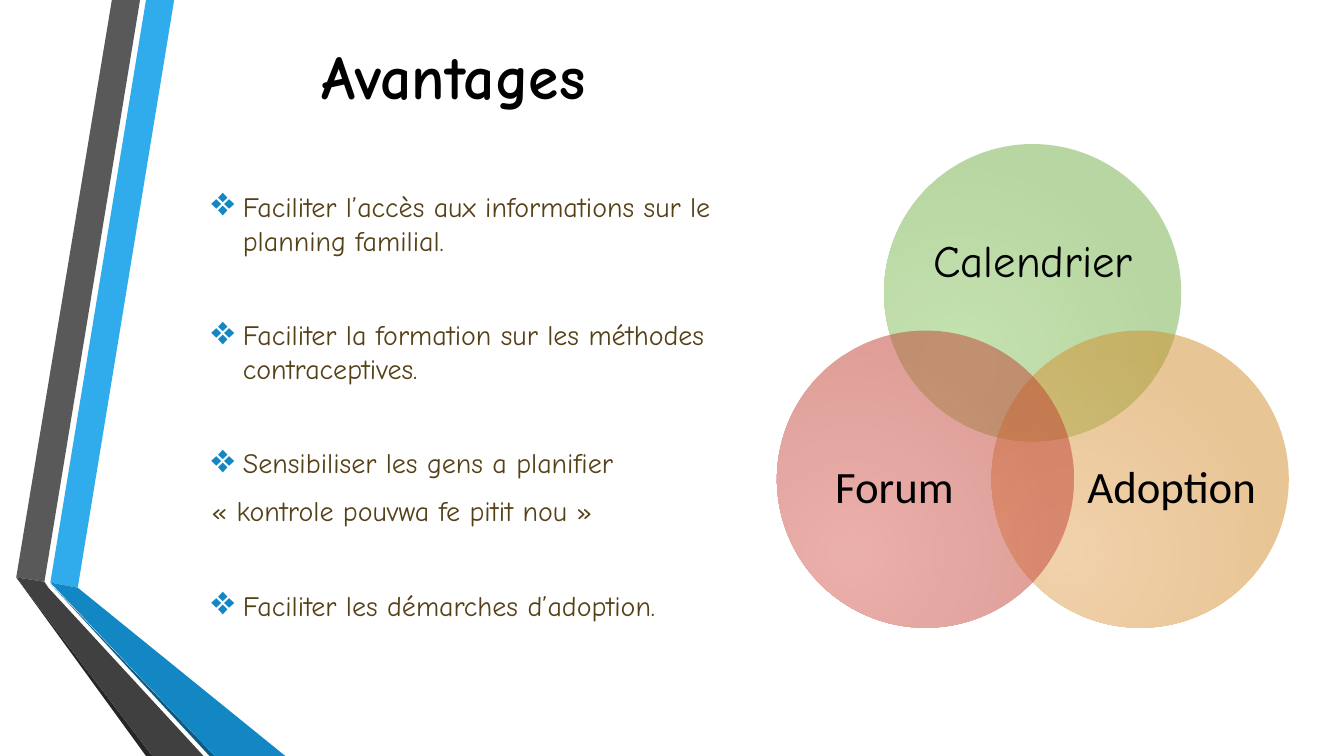
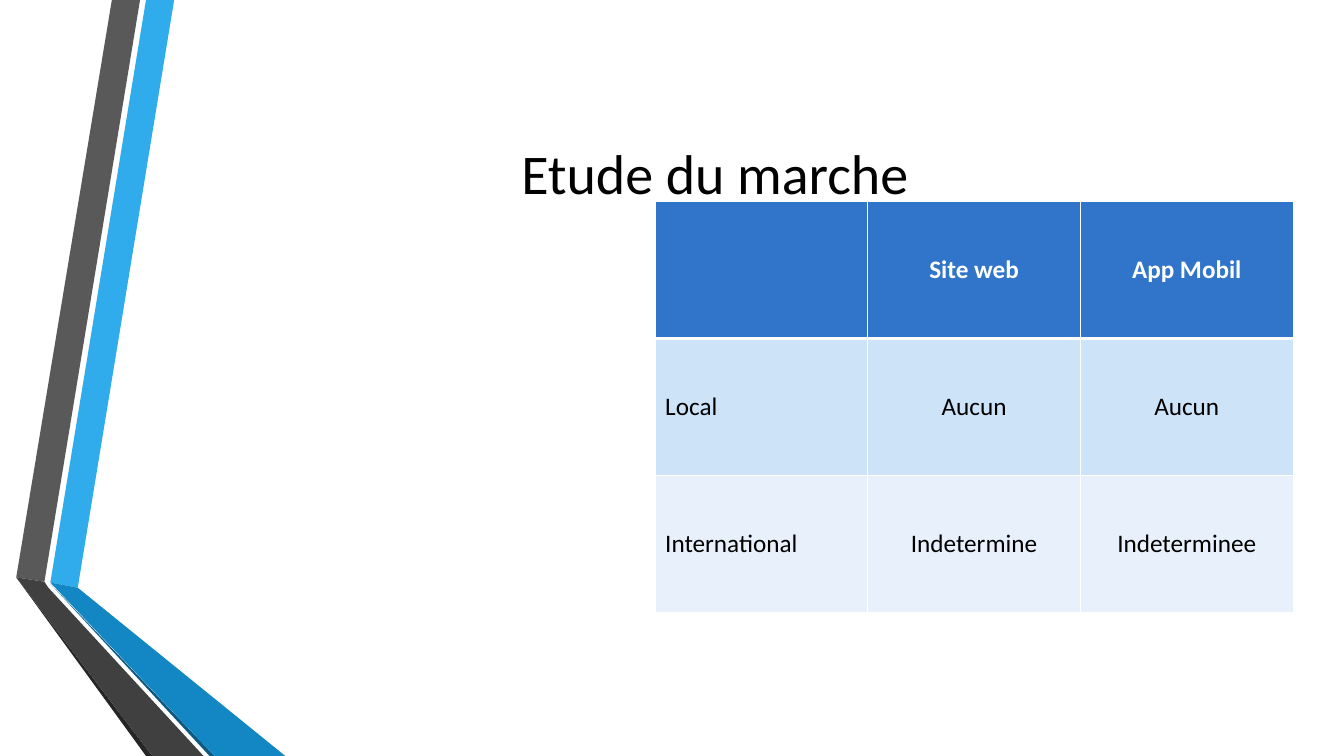
from lxml import etree
from pptx import Presentation
from pptx.dml.color import RGBColor
from pptx.enum.shapes import MSO_SHAPE
from pptx.enum.text import MSO_ANCHOR, PP_ALIGN
from pptx.oxml import parse_xml
from pptx.oxml.ns import nsdecls, qn
from pptx.util import Cm, Pt

COLOURS = {
    "black": "000000",
    "white": "FFFFFF",
    "brown": "554117",
    "sky": "30ACEC",
    "blue": "1287C3",
    "navy": "0C5A82",
    "grey": "595959",
    "charcoal": "404040",
    "soot": "262626",
    "header": "3075C9",
    "band_dark": "CDE3F8",
    "band_light": "E8F1FB",
}
HAND_FONT = "Comic Neue"
PLAIN_FONT = "Calibri"


def add_text_box(page, left, top, width, height, anchor=MSO_ANCHOR.MIDDLE):
    box = page.shapes.add_textbox(Cm(left), Cm(top), Cm(width), Cm(height))
    box.text_frame.word_wrap = True
    box.text_frame.vertical_anchor = anchor
    return box.text_frame


def add_span(para, text, size, font, colour="black", bold=False, align=PP_ALIGN.CENTER):
    para.alignment = align
    span = para.add_run()
    span.text = text
    span.font.size = Pt(size)
    span.font.name = font
    span.font.bold = bold
    span.font.color.rgb = RGBColor.from_string(COLOURS[colour])


deck = Presentation()
deck.slide_width = Cm(33.87)
deck.slide_height = Cm(19.05)
blank = deck.slide_layouts[6]
benefits_page = deck.slides.add_slide(blank)
market_page = deck.slides.add_slide(blank)

ribbon = [
    ("sky", [(1.27, 14.68), (1.96, 14.81), (4.39, 0), (3.68, 0)]),
    ("grey", [(3.53, 0), (2.82, 0), (0.41, 14.55), (1.12, 14.66)]),
    ("soot", [(0.41, 14.55), (3.68, 19.05), (3.84, 19.05)]),
    ("navy", [(1.27, 14.71), (5.28, 19.05), (5.41, 19.05)]),
    ("blue", [(1.27, 14.68), (5.41, 19.05), (7.19, 19.05), (1.96, 14.81)]),
    ("charcoal", [(5.13, 19.05), (1.22, 14.81), (1.12, 14.66), (0.41, 14.55), (3.84, 19.05)]),
]
for colour, corners in ribbon:
    points = [(Cm(x), Cm(y)) for x, y in corners]
    outline = benefits_page.shapes.build_freeform(*points[0])
    outline.add_line_segments(points[1:], close=True)
    strip = outline.convert_to_shape()
    strip.shadow.inherit = False
    strip.fill.solid()
    strip.fill.fore_color.rgb = RGBColor.from_string(COLOURS[colour])
    strip.line.fill.background()
    blank.shapes.element.append(strip.element)

titles = [
    (benefits_page, (5.08, 0.3, 12.7, 3.18), "Avantages", 44, HAND_FONT, True),
    (market_page, (4.11, 1.9, 27.81, 4.88), "Etude du marche", 40, PLAIN_FONT, False),
]
for page, bounds, text, size, font, bold in titles:
    frame = add_text_box(page, *bounds)
    add_span(frame.paragraphs[0], text, size, font, bold=bold)

diameter = 7.49
circles = [
    (22.28, 3.63, "8CC764", "72AF45", "Calendrier", HAND_FONT, (23.29, 4.95, 5.49, 3.38)),
    (24.99, 8.33, "E4A559", "D38D2D", "Adoption", PLAIN_FONT, (27.28, 10.26, 4.5, 4.11)),
    (19.58, 8.33, "D96157", "C04033", "Forum", PLAIN_FONT, (20.29, 10.26, 4.5, 4.11)),
]
for left, top, inner, outer, label, font, label_bounds in circles:
    circle = benefits_page.shapes.add_shape(
        MSO_SHAPE.OVAL, Cm(left), Cm(top), Cm(diameter), Cm(diameter)
    )
    circle.shadow.inherit = False
    circle.line.fill.background()
    stops = "".join(
        f'<a:gs pos="{position}"><a:srgbClr val="{colour}"><a:alpha val="50000"/></a:srgbClr></a:gs>'
        for position, colour in ((0, inner), (100000, outer))
    )
    gradient = parse_xml(
        f'<a:gradFill {nsdecls("a")} rotWithShape="1"><a:gsLst>{stops}</a:gsLst>'
        '<a:path path="circle"><a:fillToRect l="50000" t="100000" r="100000" b="50000"/></a:path>'
        "</a:gradFill>"
    )
    circle.element.spPr.find(qn("a:prstGeom")).addnext(gradient)
    frame = add_text_box(benefits_page, *label_bounds)
    frame.margin_left = frame.margin_right = frame.margin_top = frame.margin_bottom = 0
    frame.paragraphs[0].line_spacing = 0.9
    add_span(frame.paragraphs[0], label, 32, font)

benefits = [
    ("Faciliter l’accès aux informations sur le planning familial.", True, 0),
    ("Faciliter la formation sur les méthodes contraceptives.", True, 37.6),
    ("Sensibiliser les gens a planifier", True, 37.6),
    ("« kontrole pouvwa fe pitit nou »", False, 4),
    ("Faciliter les démarches d’adoption.", True, 37.6),
]
frame = add_text_box(benefits_page, 5.08, 4.65, 13.59, 11.7, MSO_ANCHOR.TOP)
for index, (text, bulleted, space_before) in enumerate(benefits):
    para = frame.add_paragraph() if index else frame.paragraphs[0]
    para.space_before = Pt(space_before)
    para.space_after = Pt(6)
    add_span(para, text, 20, HAND_FONT, "brown", align=PP_ALIGN.LEFT)
    if bulleted:
        properties = para._p.get_or_add_pPr()
        properties.set("marL", str(Cm(0.79)))
        properties.set("indent", str(Cm(-0.79)))
        bullet_colour = etree.SubElement(properties, qn("a:buClr"))
        etree.SubElement(bullet_colour, qn("a:srgbClr"), val=COLOURS["blue"])
        etree.SubElement(properties, qn("a:buSzPct"), val="145000")
        etree.SubElement(properties, qn("a:buChar"), char="❖")

market = [
    ("header", ["", "Site web", "App Mobil"]),
    ("band_dark", ["Local", "Aucun", "Aucun"]),
    ("band_light", ["International", "Indetermine", "Indeterminee"]),
]
table = market_page.shapes.add_table(3, 3, Cm(16.51), Cm(5.08), Cm(16.08), Cm(10.35)).table
for row, (fill, texts) in enumerate(market):
    for column, text in enumerate(texts):
        cell = table.cell(row, column)
        cell.vertical_anchor = MSO_ANCHOR.MIDDLE
        cell.fill.solid()
        cell.fill.fore_color.rgb = RGBColor.from_string(COLOURS[fill])
        if text:
            add_span(
                cell.text_frame.paragraphs[0], text, 18, PLAIN_FONT,
                "black" if row else "white", row == 0,
                PP_ALIGN.CENTER if column else PP_ALIGN.LEFT,
            )
        thick_side = {0: "lnB", 1: "lnT"}.get(row)
        for position, side in enumerate(("lnL", "lnR", "lnT", "lnB")):
            width = Pt(3 if side == thick_side else 1)
            border = parse_xml(
                f'<a:{side} {nsdecls("a")} w="{width}"><a:solidFill>'
                f'<a:srgbClr val="{COLOURS["white"]}"/></a:solidFill></a:{side}>'
            )
            cell._tc.get_or_add_tcPr().insert(position, border)

deck.save("out.pptx")
